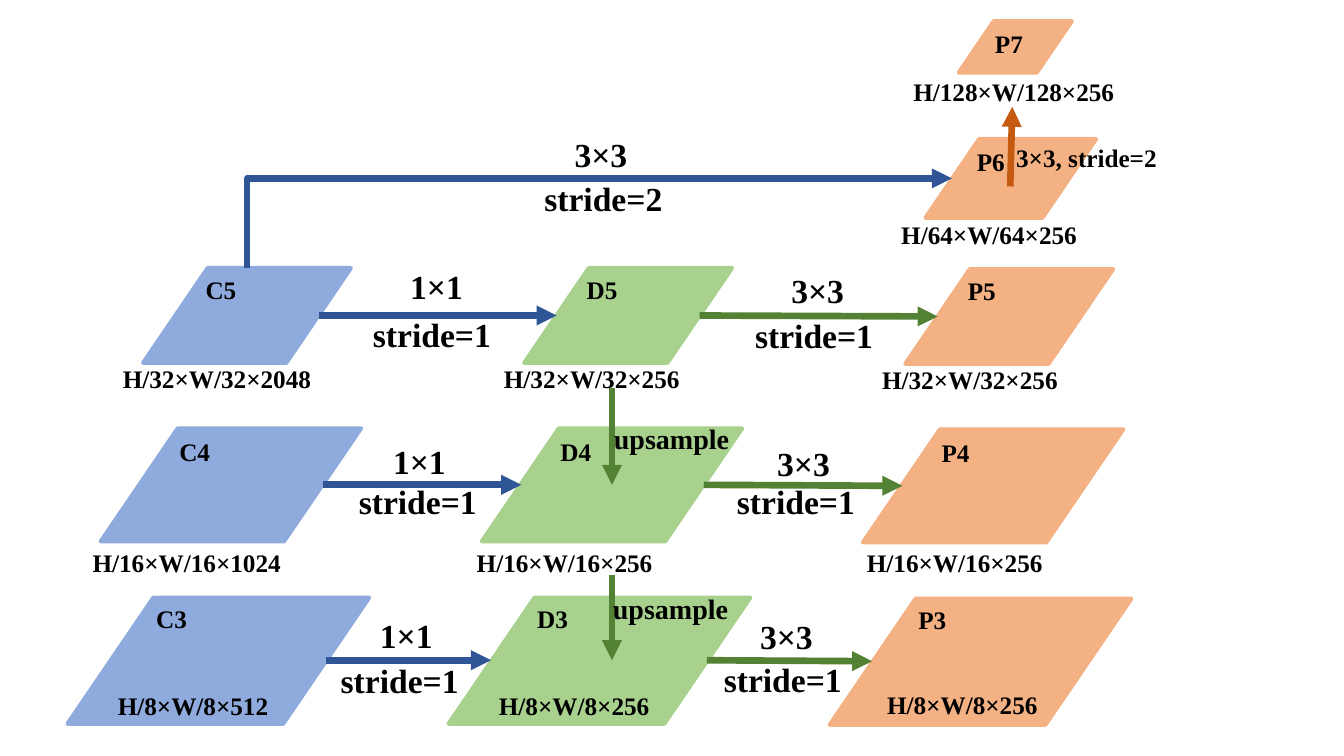
from dataclasses import dataclass

from lxml.etree import SubElement
from pptx import Presentation
from pptx.dml.color import RGBColor
from pptx.enum.shapes import MSO_CONNECTOR as Link, MSO_SHAPE as Preset
from pptx.enum.text import MSO_AUTO_SIZE as AutoSize
from pptx.oxml.ns import qn
from pptx.util import Emu, Pt

EMU_PER_PX = 9144  # 100 px to the inch


@dataclass(frozen=True)
class Theme:
    font: str = "Times New Roman"
    ink: str = "000000"
    backbone: str = "8FAADC"
    decoder: str = "A9D18E"
    pyramid: str = "F4B183"
    blue_arrow: str = "2F5597"
    green_arrow: str = "548235"
    orange_arrow: str = "C55A11"
    label: int = 18
    upsample: int = 20
    conv: int = 24
    outline: float = 3
    arrow: float = 4.75
    slant: float = 0.681


THEME = Theme()
BOX_HEIGHT = {THEME.label: 40, THEME.upsample: 44, THEME.conv: 50}

# Columns: letter, fill, shift right, shift down, name width
COLUMNS = [
    ("C", THEME.backbone, 0, 0, 51),
    ("D", THEME.decoder, 378, 0, 51),
    ("P", THEME.pyramid, 756, 1, 48),
]
# Levels: number, first map box, first name, first arrow (from x, to x, y)
LEVELS = [
    (5, (142, 266, 206, 94), (194, 267), (316, 552, 313)),
    (4, (100, 425, 258, 112), (168, 428), (320, 517, 481)),
    (3, (67, 593, 299, 125), (145, 594), (323, 487, 655)),
]
# Extra pyramid levels: name, map box, name place
TOP_LEVELS = [
    ("P6", (918, 138, 169, 78), (959, 140)),
    ("P7", (951, 21, 112, 51), (977, 23)),
]
SIZES = [
    ("H/32×W/32×2048", 112, 356), ("H/32×W/32×256", 490, 356),
    ("H/32×W/32×256", 865, 357), ("H/16×W/16×1024", 82, 538),
    ("H/16×W/16×256", 463, 538), ("H/16×W/16×256", 850, 538),
    ("H/8×W/8×512", 107, 680), ("H/8×W/8×256", 485, 680),
    ("H/8×W/8×256", 870, 679), ("H/64×W/64×256", 884, 213),
    ("H/128×W/128×256", 896, 71),
]
# Convolutions: kernel and its place, stride and its place
CONVOLUTIONS = [
    ("1×1", 397, 259, "stride=1", 360, 307),
    ("1×1", 380, 433, "stride=1", 346, 472),
    ("1×1", 367, 605, "stride=1", 328, 650),
    ("3×3", 775, 263, "stride=1", 739, 308),
    ("3×3", 761, 434, "stride=1", 721, 472),
    ("3×3", 744, 606, "stride=1", 708, 649),
    ("3×3", 560, 128, "stride=2", 530, 172),
]
# Upsampling: arrow (from y, to y), label place
UPSAMPLES = [((385, 481), (599, 413)), ((570, 655), (598, 582))]


def px(length):
    return Emu(length * EMU_PER_PX)


def add_text(slide, text, left, top, width, *, size=THEME.label, color=THEME.ink, bold=True):
    box = slide.shapes.add_textbox(px(left), px(top), px(width), px(BOX_HEIGHT[size]))
    frame = box.text_frame
    frame.word_wrap = False
    frame.auto_size = AutoSize.SHAPE_TO_FIT_TEXT
    run = frame.paragraphs[0].add_run()
    run.text = text
    run.font.name = THEME.font
    run.font.size = Pt(size)
    run.font.bold = bold
    run.font.color.rgb = RGBColor.from_string(color)


def add_feature_map(slide, box, color):
    feature_map = slide.shapes.add_shape(Preset.PARALLELOGRAM, *map(px, box))
    feature_map.adjustments[0] = THEME.slant
    feature_map.shadow.inherit = False
    feature_map.fill.solid()
    feature_map.fill.fore_color.rgb = RGBColor.from_string(color)
    feature_map.line.color.rgb = RGBColor.from_string(color)
    feature_map.line.width = Pt(THEME.outline)


def add_arrow(slide, start, end, color, kind=Link.STRAIGHT):
    arrow = slide.shapes.add_connector(kind, *map(px, start + end))
    arrow.line.color.rgb = RGBColor.from_string(color)
    arrow.line.width = Pt(THEME.arrow)
    properties = arrow._element.spPr
    SubElement(properties.find(qn("a:ln")), qn("a:tailEnd"), type="triangle")
    SubElement(properties, qn("a:effectLst"))
    return arrow


def add_corner_arrow(slide, start, end, color):
    """Go straight up from start, then right to end: a quarter-turned elbow."""
    rise, run = start[1] - end[1], end[0] - start[0]
    left = (start[0] + end[0] - rise) // 2
    top = (start[1] + end[1] - run) // 2
    arrow = add_arrow(slide, (left + rise, top + run), (left, top), color, Link.ELBOW)
    properties = arrow._element.spPr
    properties.find(qn("a:xfrm")).set("rot", "5400000")
    properties.find(qn("a:prstGeom")).set("prst", "bentConnector2")


def add_feature_maps(slide):
    for letter, color, right, down, width in COLUMNS:
        for number, (x, y, w, h), (name_x, name_y), _ in LEVELS:
            add_feature_map(slide, (x + right, y + down, w, h), color)
            add_text(slide, f"{letter}{number}", name_x + right, name_y + down, width)
    for name, box, place in TOP_LEVELS:
        add_feature_map(slide, box, THEME.pyramid)
        add_text(slide, name, *place, 48)


def add_arrows(slide):
    step = COLUMNS[1][2]
    for _, _, _, (start, end, y) in LEVELS:
        add_arrow(slide, (start, y), (end, y), THEME.blue_arrow)
        add_arrow(slide, (start + step, y), (end + step, y + 1), THEME.green_arrow)
    for (start, end), _ in UPSAMPLES:
        add_arrow(slide, (607, start), (607, end), THEME.green_arrow)
    add_arrow(slide, (1002, 185), (1004, 106), THEME.orange_arrow)
    add_corner_arrow(slide, (245, 266), (944, 177), THEME.blue_arrow)


def add_labels(slide):
    for text, left, top in SIZES:
        add_text(slide, text, left, top, 34 + 13 * len(text))
    for kernel, kernel_x, kernel_y, stride, stride_x, stride_y in CONVOLUTIONS:
        add_text(slide, kernel, kernel_x, kernel_y, 77, size=THEME.conv)
        add_text(slide, stride, stride_x, stride_y, 138, size=THEME.conv)
    for _, place in UPSAMPLES:
        add_text(slide, "upsample", *place, 135, size=THEME.upsample)
    add_text(slide, "3×3, stride=2", 998, 136, 164)


def main():
    deck = Presentation()
    deck.slide_width, deck.slide_height = px(1333), px(750)
    slide = deck.slides.add_slide(deck.slide_layouts[6])
    add_feature_maps(slide)
    add_arrows(slide)
    add_labels(slide)
    deck.save("out.pptx")


if __name__ == "__main__":
    main()
